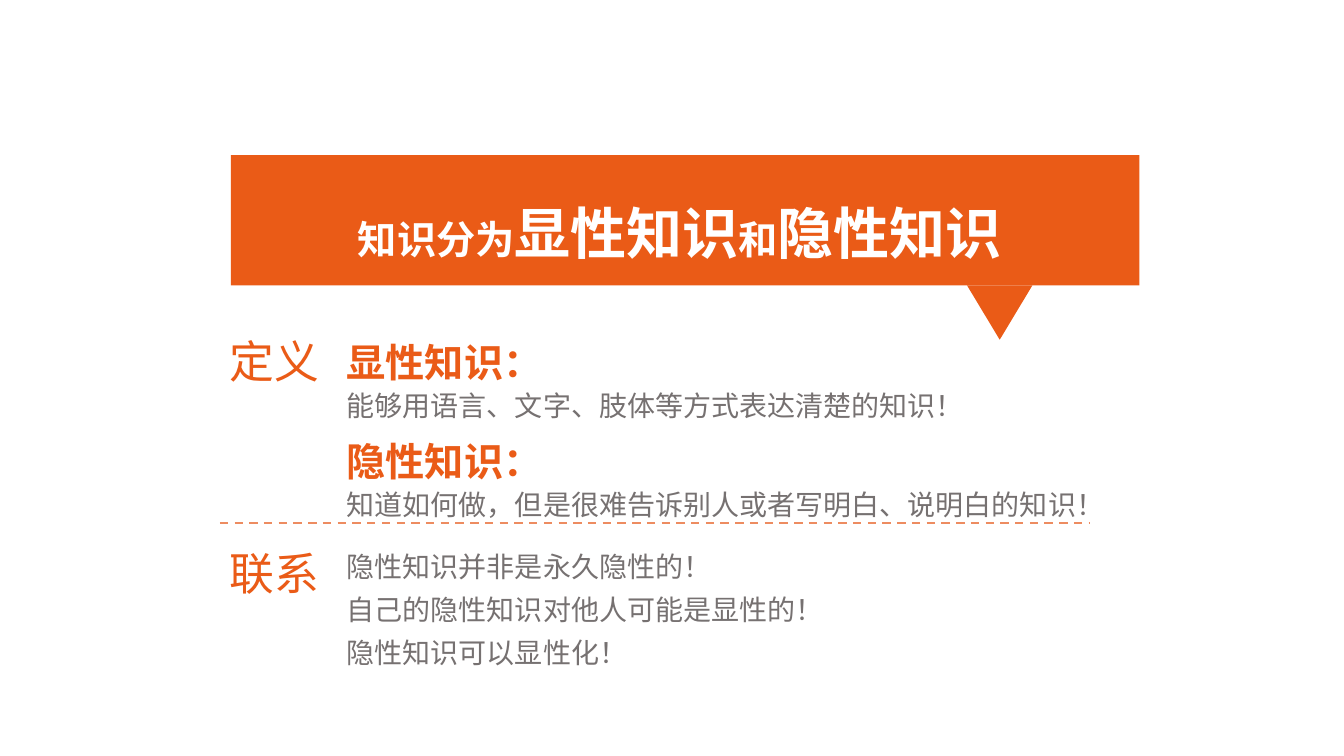
"""Build a slide that defines explicit and tacit knowledge and relates them."""
from dataclasses import dataclass

from lxml.etree import SubElement
from pptx import Presentation
from pptx.dml.color import RGBColor
from pptx.enum.dml import MSO_LINE
from pptx.enum.shapes import MSO_CONNECTOR, MSO_SHAPE
from pptx.enum.text import MSO_ANCHOR, MSO_AUTO_SIZE, PP_ALIGN
from pptx.oxml.ns import qn
from pptx.util import Inches, Pt


@dataclass(frozen=True)
class Theme:
    font: str = "Noto Sans CJK SC"
    orange: RGBColor = RGBColor(0xEA, 0x5B, 0x17)
    pale_orange: RGBColor = RGBColor(0xED, 0x8C, 0x61)
    gray: RGBColor = RGBColor(0x76, 0x71, 0x71)
    white: RGBColor = RGBColor(0xFF, 0xFF, 0xFF)
    headline: int = 40
    label: int = 32
    term: int = 28
    body: int = 20
    leading: float = 1.3


THEME = Theme()


@dataclass(frozen=True)
class Span:
    text: str
    size: int
    color: RGBColor
    bold: bool = False


@dataclass(frozen=True)
class Block:
    left: float
    top: float
    width: float
    height: float
    lines: list[list[Span]]
    inset_top: float = 0.05


def fill_text(shape, block: Block) -> None:
    shape.left, shape.top = Inches(block.left), Inches(block.top)
    shape.width, shape.height = Inches(block.width), Inches(block.height)
    frame = shape.text_frame
    frame.word_wrap = True
    frame.auto_size = MSO_AUTO_SIZE.NONE
    frame.vertical_anchor = MSO_ANCHOR.TOP
    frame.margin_left = frame.margin_right = Inches(0.1)
    frame.margin_top, frame.margin_bottom = Inches(block.inset_top), Inches(0.05)
    for index, spans in enumerate(block.lines):
        paragraph = frame.add_paragraph() if index else frame.paragraphs[0]
        paragraph.alignment = PP_ALIGN.LEFT
        paragraph.line_spacing = Pt(THEME.leading * max(span.size for span in spans))
        for span in spans:
            run = paragraph.add_run()
            run.text = span.text
            run.font.size = Pt(span.size)
            run.font.bold = span.bold
            run.font.color.rgb = span.color
            run.font.name = THEME.font
            SubElement(run.font._element, qn("a:ea"), typeface=THEME.font)


def add_block(slide, block: Block) -> None:
    fill_text(slide.shapes.add_textbox(0, 0, 0, 0), block)


def add_banner(slide) -> None:
    banner = slide.shapes.add_group_shape()
    panel = banner.shapes.add_shape(
        MSO_SHAPE.RECTANGLE, Inches(2.29), Inches(1.54), Inches(9.01), Inches(1.29))
    pointer = banner.shapes.add_shape(
        MSO_SHAPE.ISOSCELES_TRIANGLE, Inches(9.59), Inches(2.83), Inches(0.65), Inches(0.54))
    pointer.rotation = 180
    for part in (panel, pointer):
        part.shadow.inherit = False
        part.fill.solid()
        part.fill.fore_color.rgb = THEME.orange
        part.line.fill.background()


def add_headline(slide) -> None:
    headline = slide.shapes.title
    slide.shapes._spTree.append(headline._element)
    words = [("知识分为", THEME.term), ("显性知识", THEME.headline),
             ("和", THEME.term), ("隐性知识", THEME.headline)]
    spans = [Span(text, size, THEME.white, True) for text, size in words]
    fill_text(headline, Block(3.45, 1.86, 6.74, 0.77, [spans]))


def add_divider(slide) -> None:
    divider = slide.shapes.add_connector(
        MSO_CONNECTOR.STRAIGHT, Inches(2.18), Inches(5.19), Inches(10.8), Inches(5.19))
    divider.line.color.rgb = THEME.pale_orange
    divider.line.width = Pt(1.5)
    divider.line.dash_style = MSO_LINE.DASH
    SubElement(divider._element.spPr, qn("a:effectLst"))


def main() -> None:
    deck = Presentation()
    deck.slide_width, deck.slide_height = Inches(13.33), Inches(7.5)
    slide = deck.slides.add_slide(deck.slide_layouts[5])
    add_banner(slide)
    add_headline(slide)

    definition_top, relation_top, content_left = 3.27, 5.37, 3.34
    for label, top in (("定义", definition_top), ("联系", relation_top)):
        add_block(slide, Block(2.18, top, 1.15, 0.59,
                               [[Span(label, THEME.label, THEME.orange)]], inset_top=0))

    definitions = [
        ("显性知识：", "能够用语言、文字、肢体等方式表达清楚的知识！"),
        ("隐性知识：", "知道如何做，但是很难告诉别人或者写明白、说明白的知识！"),
    ]
    for index, (term, meaning) in enumerate(definitions):
        add_block(slide, Block(content_left, definition_top + 0.98 * index, 7.65, 0.91, [
            [Span(term, THEME.term, THEME.orange, True)],
            [Span(meaning, THEME.body, THEME.gray)],
        ]))

    relations = ["隐性知识并非是永久隐性的！", "自己的隐性知识对他人可能是显性的！", "隐性知识可以显性化！"]
    for index, relation in enumerate(relations):
        add_block(slide, Block(content_left, relation_top + 0.43 * index, 6.99, 0.44,
                               [[Span(relation, THEME.body, THEME.gray)]]))
    add_divider(slide)
    deck.save("out.pptx")


if __name__ == "__main__":
    main()
